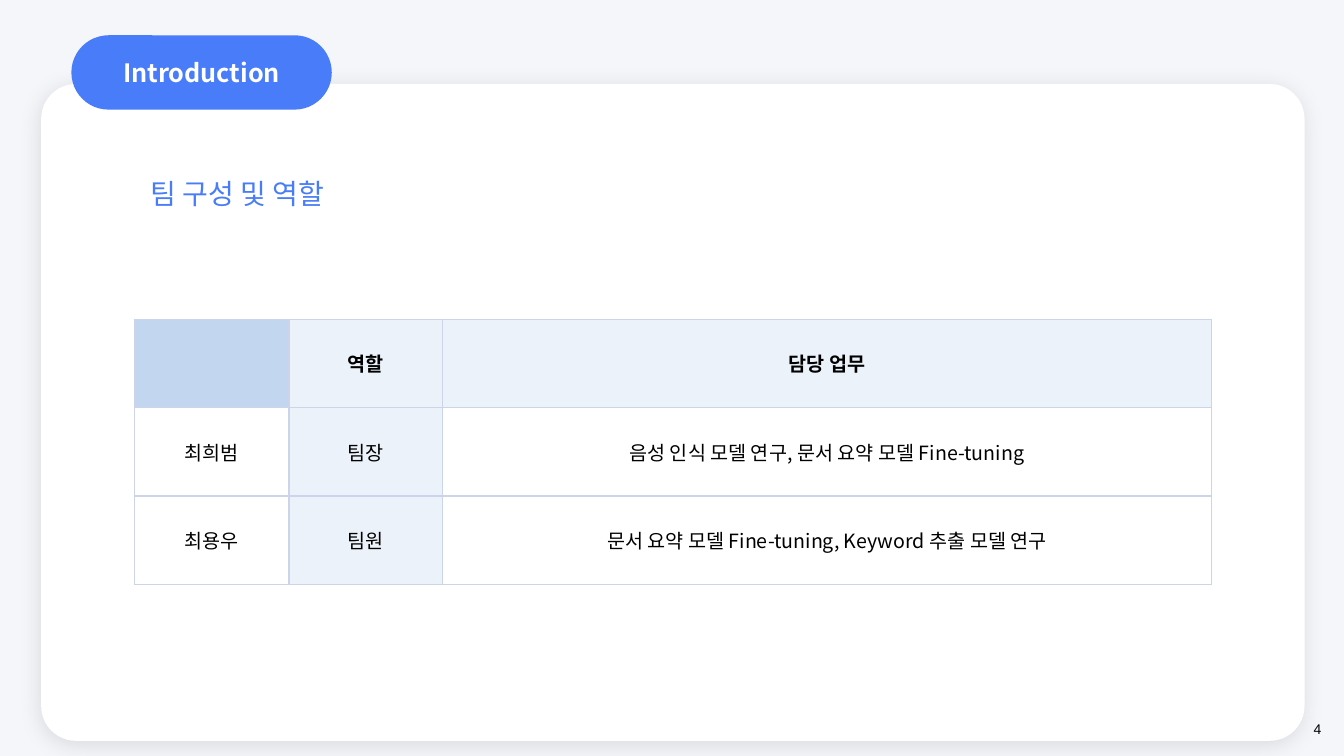
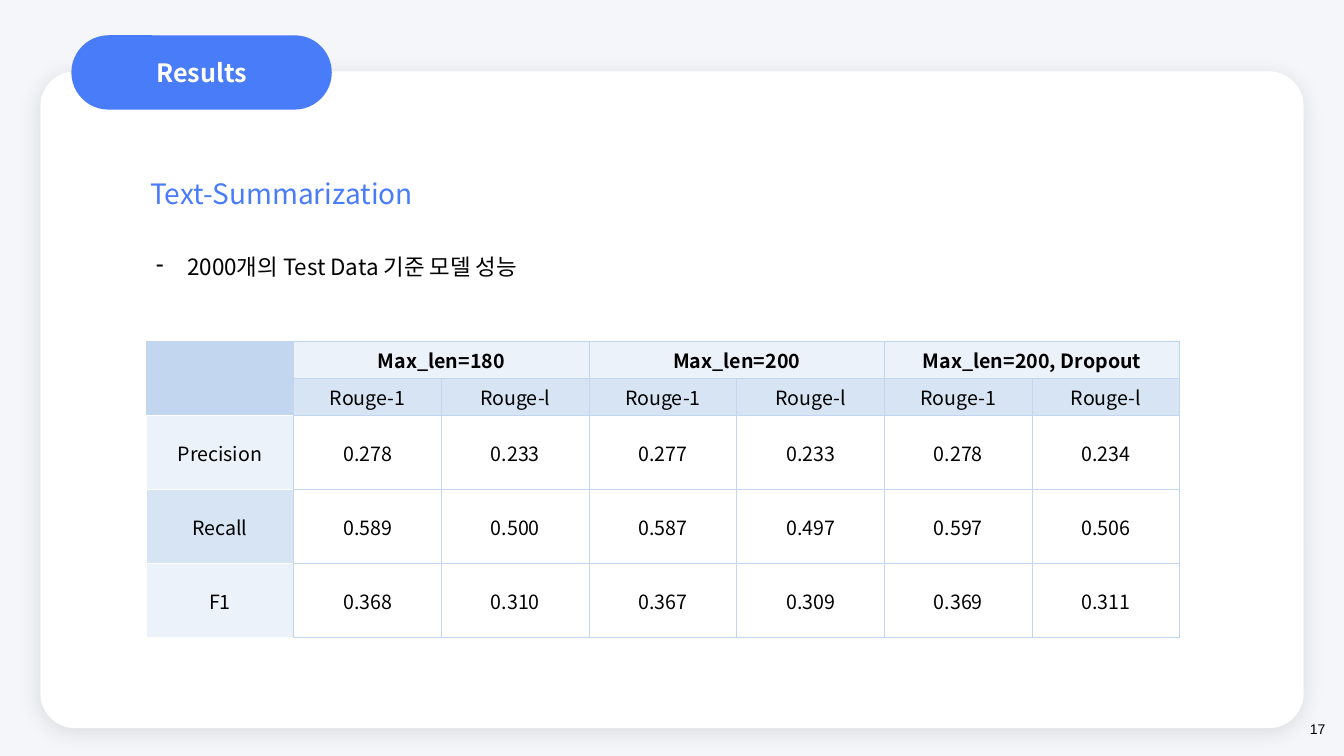
"""Build two slides with tables: the team and its roles, and the summarization results."""
import pptx
import pptx.dml.color
import pptx.enum.shapes
import pptx.enum.text
import pptx.oxml
import pptx.oxml.ns
import pptx.util
from lxml import etree

rgb = pptx.dml.color.RGBColor.from_string
qn = pptx.oxml.ns.qn
SHAPE = pptx.enum.shapes.MSO_SHAPE
ALIGN = pptx.enum.text.PP_ALIGN
MIDDLE = pptx.enum.text.MSO_ANCHOR.MIDDLE
KOREAN = "Noto Sans CJK KR"
BLUE, WHITE, BLACK, BACK = "497CF8", "FFFFFF", "000000", "F5F6F9"
TINTS = {"D": "C2D7EF", "M": "D6E4F4", "L": "EBF2FA", "W": WHITE}
COLUMNS, ROWS = 160, 90

prs = pptx.Presentation()
prs.slide_width = pptx.util.Inches(13.33)
prs.slide_height = pptx.util.Inches(7.5)
col = prs.slide_width / COLUMNS
row = prs.slide_height / ROWS


def place(x, y, w, h):
    """Turn grid columns and rows into slide lengths."""
    return [pptx.util.Emu(round(n * unit)) for n, unit in ((x, col), (y, row), (w, col), (h, row))]


def write(tf, text, size, color=BLACK, bold=False, align=ALIGN.CENTER, font=KOREAN):
    """Fill a text frame with one styled paragraph and return it."""
    tf.word_wrap = True
    p = tf.paragraphs[0]
    p.text = text
    p.alignment = align
    p.font.size = pptx.util.Pt(size)
    p.font.bold = bold
    p.font.color.rgb = rgb(color)
    p.font.name = font
    defaults = p._p.pPr.find(qn("a:defRPr"))
    defaults.find(qn("a:latin")).addnext(defaults.makeelement(qn("a:ea"), {"typeface": font}))
    return p


slides = [
    {
        "section": "Introduction", "title": "팀 구성 및 역할", "bullet": None, "page": "4",
        "card": (4.9, 10), "origin": (16, 38), "border": "CDD4EA",
        "widths": [18.4, 18.3, 91.5], "heights": [10.53] * 3,
        "tints": ["DLL", "WLW", "WLW"], "merges": [], "open_rows": [],
        "data": [
            ["", "역할", "담당 업무"],
            ["최희범", "팀장", "음성 인식 모델 연구, 문서 요약 모델 Fine-tuning"],
            ["최용우", "팀원", "문서 요약 모델 Fine-tuning, Keyword 추출 모델 연구"],
        ],
    },
    {
        "section": "Results", "title": "Text-Summarization", "page": "17",
        "bullet": "2000개의 Test Data 기준 모델 성능",
        "card": (4.8, 8.5), "origin": (17.4, 40.7), "border": TINTS["D"],
        "widths": [17.58] * 7, "heights": [4.4] * 2 + [8.8] * 3,
        "tints": ["DLLLLLL", "DMMMMMM", "LWWWWWW", "MWWWWWW", "LWWWWWW"],
        "merges": [(0, 0, 1, 0), (0, 1, 0, 2), (0, 3, 0, 4), (0, 5, 0, 6)],
        "open_rows": [2, 3, 4],
        "data": [
            ["", "Max_len=180", "", "Max_len=200", "", "Max_len=200, Dropout", ""],
            [""] + ["Rouge-1", "Rouge-l"] * 3,
            ["Precision", "0.278", "0.233", "0.277", "0.233", "0.278", "0.234"],
            ["Recall", "0.589", "0.500", "0.587", "0.497", "0.597", "0.506"],
            ["F1", "0.368", "0.310", "0.367", "0.309", "0.369", "0.311"],
        ],
    },
]

for item in slides:
    s = prs.slides.add_slide(prs.slide_layouts[6])
    s.background.fill.solid()
    s.background.fill.fore_color.rgb = rgb(BACK)

    frames = [(place(*item["card"], 150.4, 78.2), 0.053, WHITE), (place(8.5, 4.2, 31, 8.85), 0.5, BLUE)]
    for box, radius, color in frames:
        sp = s.shapes.add_shape(SHAPE.ROUNDED_RECTANGLE, *box)
        sp.adjustments[0] = radius
        sp.fill.solid()
        sp.fill.fore_color.rgb = rgb(color)
        sp.line.fill.background()
        sp.shadow.inherit = False
        if color == WHITE:
            glow = etree.SubElement(
                sp._element.spPr.find(qn("a:effectLst")), qn("a:outerShdw"),
                blurRad=str(pptx.util.Pt(16)), dist=str(pptx.util.Pt(3)),
                dir="5400000", algn="t", rotWithShape="0")
            shade = etree.SubElement(glow, qn("a:srgbClr"), val=BLACK)
            etree.SubElement(shade, qn("a:alpha"), val="11000")
        else:
            sp.text_frame.vertical_anchor = MIDDLE
            write(sp.text_frame, item["section"], 18, WHITE, bold=True)

    sp = s.shapes.add_textbox(*place(16.7, 20.4, 94, 5.3))
    write(sp.text_frame, item["title"], 20, BLUE, align=ALIGN.LEFT)

    if item["bullet"]:
        sp = s.shapes.add_textbox(*place(17.4, 28, 116, 15.7))
        p = write(sp.text_frame, item["bullet"], 16, align=ALIGN.LEFT)
        p.line_spacing = 1.5
        pPr = p._p.pPr
        indent = pptx.util.Inches(0.31)
        pPr.set("marL", str(indent))
        pPr.set("indent", str(-indent))
        pPr.find(qn("a:defRPr")).addprevious(pPr.makeelement(qn("a:buChar"), {"char": "-"}))

    sp = s.shapes.add_textbox(*place(154.7, 85.2, 4.3, 3.2))
    sp.text_frame.margin_left = sp.text_frame.margin_right = 0
    write(sp.text_frame, item["page"], 10, font="Arial")

    widths, heights = item["widths"], item["heights"]
    box = place(*item["origin"], sum(widths), sum(heights))
    table = s.shapes.add_table(len(heights), len(widths), *box).table
    table.first_row = table.horz_banding = False
    for i, width in enumerate(widths):
        table.columns[i].width = round(width * col)
    for i, height in enumerate(heights):
        table.rows[i].height = round(height * row)

    for i, texts in enumerate(item["data"]):
        for j, text in enumerate(texts):
            cell = table.cell(i, j)
            cell.vertical_anchor = MIDDLE
            cell.margin_top = cell.margin_bottom = pptx.util.Inches(0.02)
            write(cell.text_frame, text, 14, bold=i == 0)
            for side in "LRTB":
                is_open = j == 0 and i in item["open_rows"] and side != "R"
                ln = etree.SubElement(cell._tc.get_or_add_tcPr(), qn("a:ln" + side), w=str(pptx.util.Pt(1)))
                fill = etree.SubElement(ln, qn("a:solidFill"))
                etree.SubElement(fill, qn("a:srgbClr"), val=WHITE if is_open else item["border"])
            cell.fill.solid()
            cell.fill.fore_color.rgb = rgb(TINTS[item["tints"][i][j]])

    for top, left, bottom, right in item["merges"]:
        table.cell(top, left).merge(table.cell(bottom, right))

prs.save("out.pptx")
